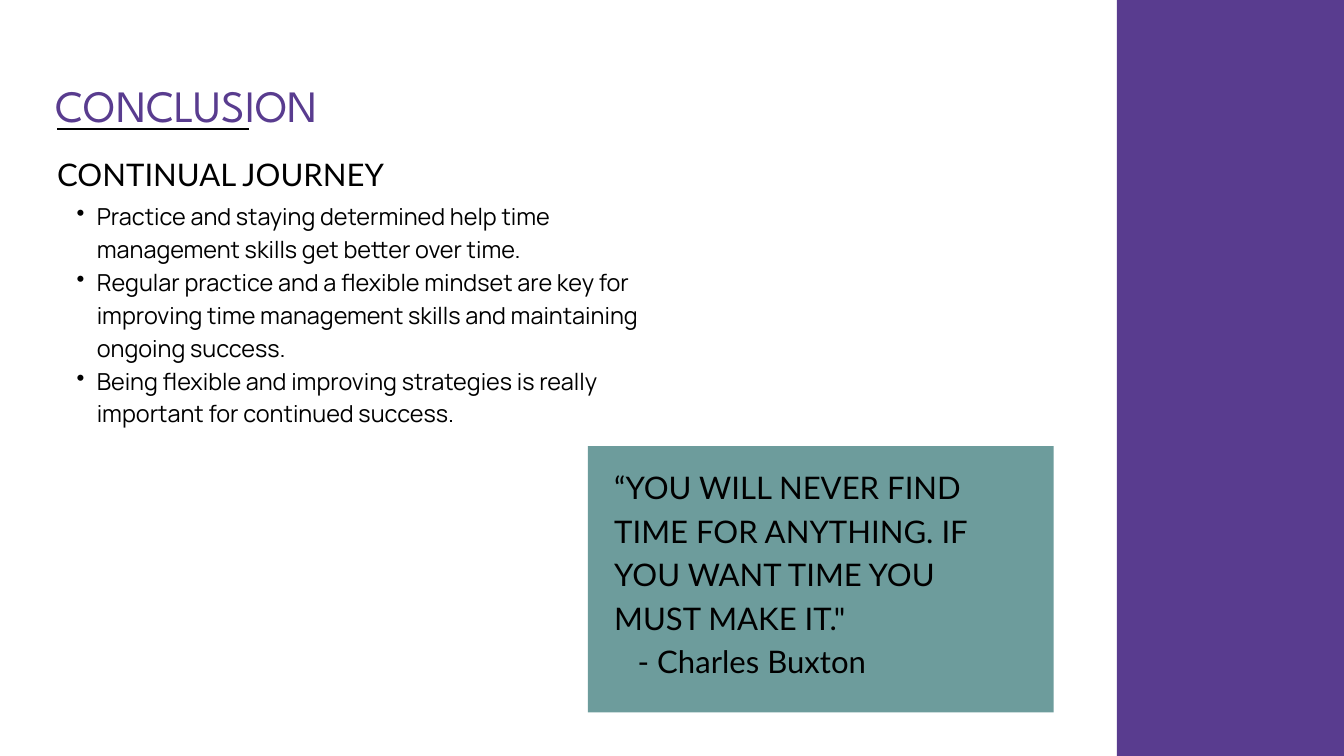
"""Build the conclusion slide with its key points and closing quote."""
from dataclasses import dataclass

from lxml.etree import SubElement
from pptx import Presentation
from pptx.dml.color import RGBColor
from pptx.enum.shapes import MSO_CONNECTOR, MSO_SHAPE
from pptx.oxml.ns import qn
from pptx.util import Inches, Pt


@dataclass(frozen=True)
class TextStyle:
    """Typeface, size, line spacing and colour of a kind of text."""
    font: str
    size: float
    spacing: float
    color: RGBColor


class Theme:
    """Colours and type styles of the slide."""
    PURPLE = RGBColor(0x59, 0x3C, 0x8F)
    TEAL = RGBColor(0x6D, 0x9C, 0x9C)
    BLACK = RGBColor(0, 0, 0)
    TITLE = TextStyle("League Spartan", 48, 67.2, PURPLE)
    HEADING = TextStyle("Lato", 33.3, 46.6, BLACK)
    BODY = TextStyle("Manrope", 25.1, 35.2, BLACK)


class SlideBuilder:
    """Adds styled elements to the current slide."""

    def __init__(self, slide, theme):
        self.slide = slide
        self.theme = theme

    def panel(self, left, top, width, height, color):
        """Add a plain filled rectangle."""
        shape = self.slide.shapes.add_shape(
            MSO_SHAPE.RECTANGLE, Inches(left), Inches(top), Inches(width), Inches(height))
        shape.shadow.inherit = False
        shape.fill.solid()
        shape.fill.fore_color.rgb = color
        shape.line.fill.background()

    def rule(self, left, right, top):
        """Add a horizontal line."""
        connector = self.slide.shapes.add_connector(
            MSO_CONNECTOR.STRAIGHT, Inches(left), Inches(top), Inches(right), Inches(top))
        connector.line.color.rgb = self.theme.BLACK
        connector.line.width = Pt(3)
        SubElement(connector._element.spPr, qn("a:effectLst"))

    def text(self, left, top, width, height, lines, style):
        """Add a text box without insets and return its paragraphs."""
        box = self.slide.shapes.add_textbox(
            Inches(left), Inches(top), Inches(width), Inches(height))
        frame = box.text_frame
        frame.word_wrap = True
        frame.margin_left = frame.margin_top = frame.margin_right = frame.margin_bottom = 0
        frame.text = "\n".join(lines)
        for paragraph in frame.paragraphs:
            paragraph.line_spacing = Pt(style.spacing)
            paragraph.font.name = style.font
            paragraph.font.size = Pt(style.size)
            paragraph.font.color.rgb = style.color
        return frame.paragraphs

    def indent(self, paragraph, margin, first_line=0):
        """Set the left margin and first-line offset of a paragraph."""
        properties = paragraph._p.get_or_add_pPr()
        properties.set("marL", str(Inches(margin)))
        properties.set("indent", str(Inches(first_line)))
        return properties

    def bullets(self, left, top, width, height, lines, style):
        """Add a bulleted list."""
        for paragraph in self.text(left, top, width, height, lines, style):
            paragraph.level = 1
            properties = self.indent(paragraph, 0.59, -0.3)
            bullet = properties.makeelement(qn("a:buChar"), {"char": "•"})
            properties.insert_element_before(
                bullet, "a:tabLst", "a:defRPr", "a:extLst")


def main():
    """Create and save the presentation."""
    presentation = Presentation()
    presentation.slide_width = Inches(20)
    presentation.slide_height = Inches(11.25)
    slide = presentation.slides.add_slide(presentation.slide_layouts[6])
    theme = Theme()
    builder = SlideBuilder(slide, theme)

    builder.panel(16.62, 0, 3.38, 11.25, theme.PURPLE)
    builder.text(0.83, 1.02, 5.42, 0.9, ["CONCLUSION"], theme.TITLE)
    builder.rule(0.85, 3.71, 1.92)
    builder.text(0.85, 2.22, 5.21, 0.63, ["CONTINUAL JOURNEY"], theme.HEADING)
    builder.bullets(0.85, 2.94, 8.98, 3.37, [
        "Practice and staying determined help time management skills get better over time.",
        "Regular practice and a flexible mindset are key for improving time management "
        "skills and maintaining ongoing success.",
        "Being flexible and improving strategies is really important for continued success.",
    ], theme.BODY)

    builder.panel(8.75, 6.64, 6.93, 3.96, theme.TEAL)
    quote, author = builder.text(9.14, 6.88, 6.09, 3.95, [
        "“YOU WILL NEVER FIND TIME FOR ANYTHING. IF YOU WANT TIME YOU MUST MAKE IT.\"",
        "- Charles Buxton",
    ], theme.HEADING)
    builder.indent(author, 0.35)

    presentation.save("out.pptx")


if __name__ == "__main__":
    main()
